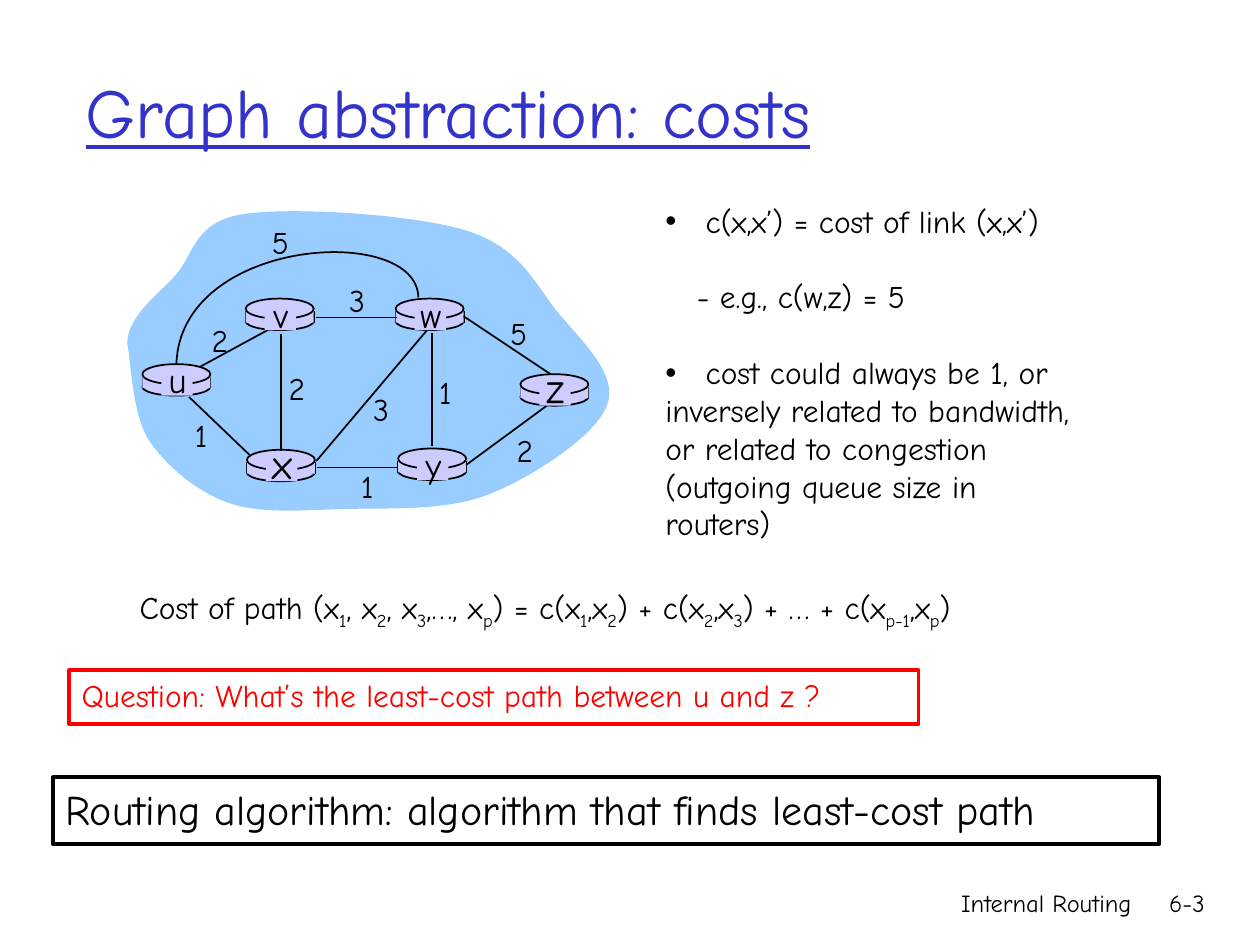
from dataclasses import dataclass

from lxml.etree import SubElement
from pptx import Presentation
from pptx.dml.color import RGBColor
from pptx.enum.shapes import MSO_CONNECTOR as Link, MSO_SHAPE as Preset
from pptx.enum.text import MSO_ANCHOR as Anchor, MSO_AUTO_SIZE as Fit, PP_ALIGN as Align
from pptx.oxml.ns import qn
from pptx.util import Emu, Pt

PX = 9144  # EMU per px, 100 px to the inch
FONT = "Comic Neue"
BLACK = RGBColor(0x00, 0x00, 0x00)
RED = RGBColor(0xFF, 0x00, 0x00)
TITLE_BLUE = RGBColor(0x33, 0x33, 0xCC)
CLOUD_BLUE = RGBColor(0x99, 0xCC, 0xFF)
ROUTER_LILAC = RGBColor(0xCC, 0xCC, 0xFF)
ROUTER_WIDTH = 54


@dataclass
class Router:
    name: str
    left: int
    top: int
    size: int = 20


@dataclass
class Edge:
    x1: int
    y1: int
    x2: int
    y2: int


@dataclass
class Cost:
    text: str
    left: int
    top: int


@dataclass
class Point:
    text: str
    indent: int = 0
    bullet: bool = False
    before: float = 0


ROUTERS = [Router("u", 113, 289), Router("x", 196, 357, 24), Router("v", 195, 237),
           Router("w", 314, 237), Router("y", 316, 356), Router("z", 413, 297, 24)]
EDGES = [Edge(159, 291, 218, 259), Edge(343, 264, 343, 354), Edge(223, 265, 223, 358),
         Edge(251, 366, 339, 262), Edge(370, 369, 434, 322), Edge(316, 371, 252, 371),
         Edge(198, 361, 150, 315), Edge(315, 252, 251, 252), Edge(437, 297, 368, 251)]
COSTS = [Cost("2", 157, 250), Cost("2", 218, 288), Cost("1", 142, 325), Cost("3", 285, 305),
         Cost("1", 274, 366), Cost("1", 336, 291), Cost("2", 399, 337), Cost("5", 394, 244),
         Cost("3", 266, 218), Cost("5", 205, 172)]

# Each curve is a start point and Bezier triples
CLOUD = [(101, 272), (102, 251), (123, 236), (139, 219), (154, 202), (154, 176), (193, 170),
         (231, 164), (328, 170), (370, 183), (412, 196), (424, 224), (442, 247),
         (461, 270), (491, 297), (482, 321), (474, 345), (424, 378), (389, 392),
         (354, 406), (308, 403), (273, 404), (239, 405), (207, 408), (181, 399),
         (156, 390), (132, 370), (118, 349), (105, 328), (104, 288), (101, 272)]
DETOUR = [(332, 236), (331, 177), (143, 188), (140, 289)]

LINE_GAP = 21.7
POINTS = [Point("c(x,x’) = cost of link (x,x’)", 32, True),
          Point("- e.g., c(w,z) = 5", 25, before=LINE_GAP),
          Point("cost could always be 1, or", 32, True, LINE_GAP),
          Point("inversely related to bandwidth,"), Point("or related to congestion"),
          Point("(outgoing queue size in"), Point("routers)")]
# Every second piece is a subscript
PATH_COST = ("Cost of path (x|1|, x|2|, x|3|,…, x|p|) = c(x|1|,x|2|) + c(x|2|,x|3|"
             ") + … + c(x|p-1|,x|p|)")


def place(shape, left: int, top: int, width: int, height: int) -> None:
    shape.left, shape.top = Emu(left * PX), Emu(top * PX)
    shape.width, shape.height = Emu(width * PX), Emu(height * PX)


def style(para, size: int, color: RGBColor = BLACK, align=Align.LEFT) -> None:
    para.alignment = align
    para.font.name, para.font.size = FONT, Pt(size)
    para.font.color.rgb = color


def add_text(page, text: str, left: int, top: int, width: int, height: int,
             size: int, align=Align.LEFT):
    box = page.shapes.add_textbox(0, 0, 0, 0)
    place(box, left, top, width, height)
    box.text_frame.word_wrap = True
    para = box.text_frame.paragraphs[0]
    para.text = text
    style(para, size, align=align)
    return para


def paint(shape, fill: RGBColor | None, line: RGBColor | None, weight: float = 1) -> None:
    shape.shadow.inherit = False
    if fill is None:
        shape.fill.background()
    else:
        shape.fill.solid()
        shape.fill.fore_color.rgb = fill
    if line is None:
        shape.line.fill.background()
    else:
        shape.line.color.rgb, shape.line.width = line, Pt(weight)


def add_shape(page, preset, left: int, top: int, width: int, height: int,
              fill: RGBColor | None, line: RGBColor | None, weight: float = 1):
    shape = page.shapes.add_shape(preset, 0, 0, 0, 0)
    place(shape, left, top, width, height)
    paint(shape, fill, line, weight)
    return shape


def add_line(page, edge: Edge) -> None:
    ends = [Emu(value * PX) for value in (edge.x1, edge.y1, edge.x2, edge.y2)]
    line = page.shapes.add_connector(Link.STRAIGHT, *ends)
    line.line.color.rgb, line.line.width = BLACK, Pt(1)
    SubElement(line._element.spPr, qn("a:effectLst"))


def add_curve(page, knots: list, closed: bool, fill, line) -> None:
    builder = page.shapes.build_freeform(*knots[0], scale=PX)
    builder.add_line_segments(knots[1:], close=closed)
    shape = builder.convert_to_shape()
    paint(shape, fill, line)
    # Join every three line segments into one Bezier segment
    outline = shape._element.find(".//" + qn("a:path"))
    segments = outline.findall(qn("a:lnTo"))
    for first in range(0, len(segments), 3):
        start, *others = segments[first:first + 3]
        start.tag = qn("a:cubicBezTo")
        for other in others:
            start.append(other[0])
            outline.remove(other)


def add_router(page, router: Router) -> None:
    left, top, right = router.left, router.top, router.left + ROUTER_WIDTH
    add_shape(page, Preset.OVAL, left, top + 11, ROUTER_WIDTH, 14, ROUTER_LILAC, BLACK)
    for side in (left, right):
        add_line(page, Edge(side, top + 10, side, top + 19))
    add_shape(page, Preset.RECTANGLE, left, top + 10, ROUTER_WIDTH, 9, ROUTER_LILAC, None)
    add_shape(page, Preset.OVAL, left, top, ROUTER_WIDTH, 16, ROUTER_LILAC, BLACK)


def add_name(page, router: Router) -> None:
    left, top = router.left, router.top
    add_shape(page, Preset.RECTANGLE, left + 15, top + 2, 25, 23, ROUTER_LILAC, None)
    rise, height = (9, 43) if router.size == 20 else (15, 50)
    add_text(page, router.name, left + 8, top - rise, 40, height, router.size, Align.CENTER)


def add_banner(page, text: str, left: int, top: int, width: int, height: int,
               size: int, color: RGBColor) -> None:
    banner = add_shape(page, Preset.RECTANGLE, left, top, width, height, None, color, 2.25)
    banner.text_frame.vertical_anchor = Anchor.TOP
    para = banner.text_frame.paragraphs[0]
    para.text = text
    style(para, size, color)


def fill_list(body) -> None:
    place(body, 518, 155, 388, 283)
    frame = body.text_frame
    frame.auto_size, frame.word_wrap = Fit.NONE, True
    for index, point in enumerate(POINTS):
        para = frame.paragraphs[0] if index == 0 else frame.add_paragraph()
        para.text = point.text
        para.space_before = Pt(point.before)
        properties = para._p.get_or_add_pPr()
        properties.set("marL", str(point.indent * PX))
        properties.set("indent", str(-point.indent * PX if point.bullet else 0))
        if point.bullet:
            SubElement(properties, qn("a:buChar")).set("char", "•")
        else:
            SubElement(properties, qn("a:buNone"))
        style(para, 18)


def main() -> None:
    deck = Presentation()
    deck.slide_width, deck.slide_height = Emu(1000 * PX), Emu(750 * PX)
    page = deck.slides.add_slide(deck.slide_layouts[1])

    # Title and list
    title, body = page.placeholders
    place(title, 58, 25, 850, 125)
    title.text_frame.vertical_anchor = Anchor.MIDDLE
    heading = title.text_frame.paragraphs[0]
    heading.text = "Graph abstraction: costs"
    style(heading, 40, TITLE_BLUE)
    heading.font.underline = True
    fill_list(body)

    # Network graph
    add_curve(page, CLOUD, True, CLOUD_BLUE, None)
    add_line(page, EDGES[0])
    for router in ROUTERS:
        add_router(page, router)
    for edge in EDGES[1:]:
        add_line(page, edge)
    add_curve(page, DETOUR, False, None, BLACK)
    for router in ROUTERS:
        add_name(page, router)
    for cost in COSTS:
        add_text(page, cost.text, cost.left, cost.top, 35, 40, 18, Align.CENTER)

    # Path cost formula
    formula = add_text(page, "", 101, 462, 768, 40, 18)
    for index, piece in enumerate(PATH_COST.split("|")):
        span = formula.add_run()
        span.text = piece
        if index % 2:
            span._r.get_or_add_rPr().set("baseline", "-25000")

    # Question and answer
    add_banner(page, "Question: What’s the least-cost path between u and z ?",
               55, 532, 674, 43, 18, RED)
    add_banner(page, "Routing algorithm: algorithm that finds least-cost path",
               42, 617, 878, 53, 24, BLACK)

    # Footer
    add_text(page, "Internal Routing", 591, 700, 317, 50, 14, Align.RIGHT)
    add_text(page, "6-3", 892, 700, 74, 50, 14, Align.RIGHT)

    deck.save("out.pptx")


if __name__ == "__main__":
    main()
